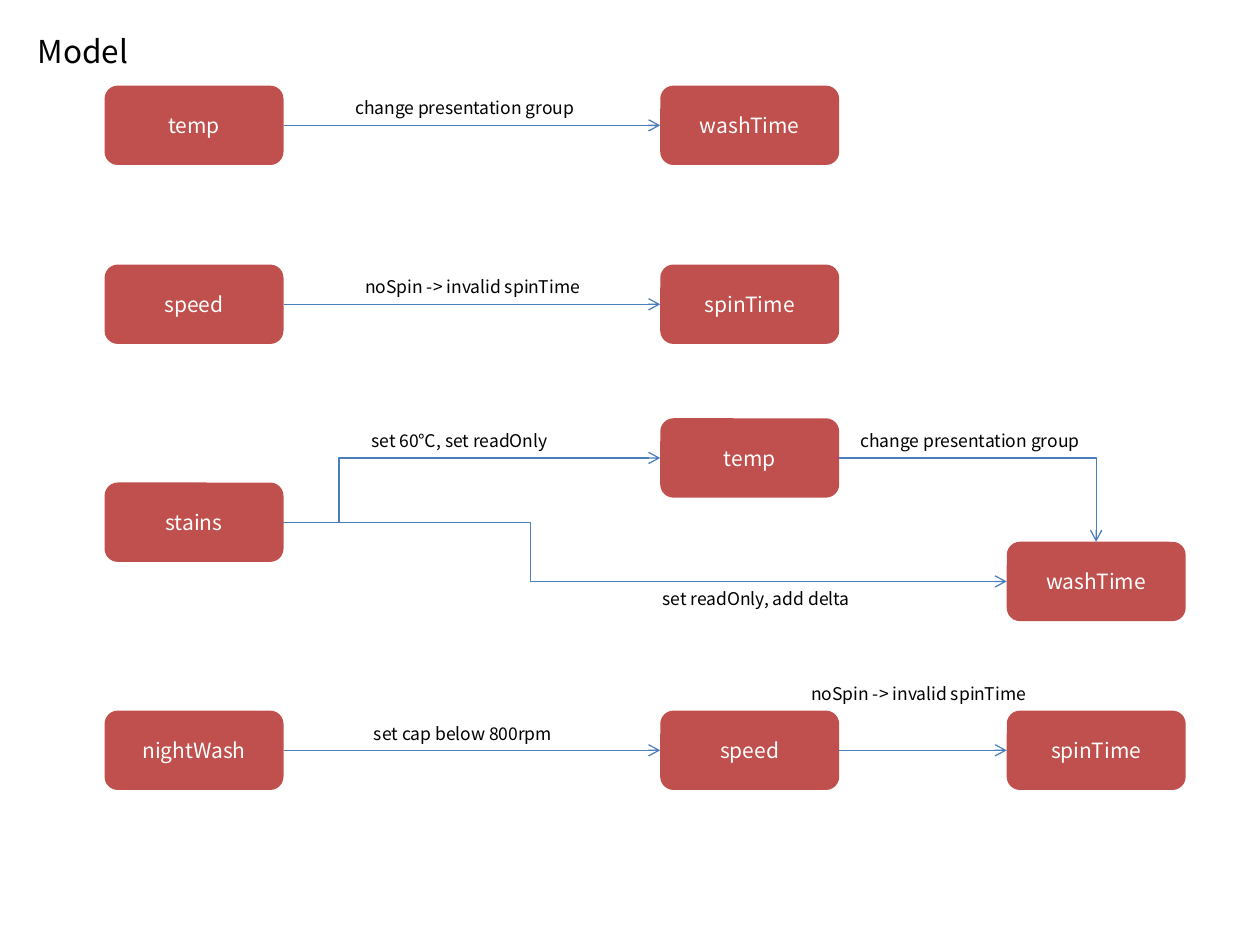
from dataclasses import dataclass
from typing import Optional

from lxml import etree
from pptx import Presentation
from pptx.dml.color import RGBColor
from pptx.enum.shapes import MSO_CONNECTOR, MSO_SHAPE
from pptx.enum.text import MSO_ANCHOR, MSO_AUTO_SIZE, PP_ALIGN
from pptx.oxml.ns import qn
from pptx.util import Inches, Pt

STRAIGHT, ELBOW = MSO_CONNECTOR.STRAIGHT, MSO_CONNECTOR.ELBOW
ROUNDED = MSO_SHAPE.ROUNDED_RECTANGLE
TOP, MIDDLE = MSO_ANCHOR.TOP, MSO_ANCHOR.MIDDLE
LEFT, CENTER = PP_ALIGN.LEFT, PP_ALIGN.CENTER
FIT_SHAPE = MSO_AUTO_SIZE.SHAPE_TO_FIT_TEXT

RED = RGBColor(0xC0, 0x50, 0x4D)
BLUE = RGBColor(0x4B, 0x7E, 0xBC)
WHITE = RGBColor(0xFF, 0xFF, 0xFF)
BLACK = RGBColor(0, 0, 0)
FONT = "Noto Sans CJK JP"

SOURCE_X, TARGET_X, RESULT_X = 0.83, 5.24, 7.99
NODE_WIDTH, NODE_HEIGHT = 1.42, 0.63
LABEL_HEIGHT = 0.27
TOP_SITE, LEFT_SITE, RIGHT_SITE = 0, 1, 3


@dataclass(frozen=True)
class Node:
    name: str
    left: float
    top: float


@dataclass(frozen=True)
class Effect:
    source: Node
    target: Node
    text: str
    text_left: float
    text_top: float
    text_width: float
    bend: Optional[float] = None
    from_above: bool = False


temp = Node("temp", SOURCE_X, 0.68)
wash_time = Node("washTime", TARGET_X, 0.68)
speed = Node("speed", SOURCE_X, 2.1)
spin_time = Node("spinTime", TARGET_X, 2.1)
stains = Node("stains", SOURCE_X, 3.83)
stains_temp = Node("temp", TARGET_X, 3.32)
stains_wash_time = Node("washTime", RESULT_X, 4.3)
night_wash = Node("nightWash", SOURCE_X, 5.64)
night_speed = Node("speed", TARGET_X, 5.64)
night_spin_time = Node("spinTime", RESULT_X, 5.64)

NODES = [temp, wash_time, speed, spin_time, stains, stains_temp,
         stains_wash_time, night_wash, night_speed, night_spin_time]

REGROUP = "change presentation group"
NO_SPIN = "noSpin -> invalid spinTime"
EFFECTS = [
    Effect(temp, wash_time, REGROUP, 2.72, 0.72, 2.05),
    Effect(speed, spin_time, NO_SPIN, 2.8, 2.14, 2.05),
    Effect(stains, stains_temp, "set 60℃, set readOnly", 2.85, 3.36, 1.75, bend=0.147),
    Effect(stains, stains_wash_time, "set readOnly, add delta", 5.16, 4.62, 1.81, bend=0.342),
    Effect(stains_temp, stains_wash_time, REGROUP, 6.73, 3.36, 2.23, from_above=True),
    Effect(night_wash, night_speed, "set cap below 800rpm", 2.87, 5.69, 1.73),
    Effect(night_speed, night_spin_time, NO_SPIN, 6.34, 5.37, 2.6),
]


def write(shape, text: str, size: float, color: RGBColor, align=LEFT, anchor=TOP) -> None:
    frame = shape.text_frame
    frame.text = text
    frame.word_wrap = True
    frame.vertical_anchor = anchor
    paragraph = frame.paragraphs[0]
    paragraph.alignment = align
    paragraph.font.name = FONT
    paragraph.font.size = Pt(size)
    paragraph.font.color.rgb = color


def add_node(slide, node: Node):
    box = slide.shapes.add_shape(ROUNDED, Inches(node.left), Inches(node.top),
                                 Inches(NODE_WIDTH), Inches(NODE_HEIGHT))
    box.shadow.inherit = False
    box.fill.solid()
    box.fill.fore_color.rgb = RED
    box.line.fill.background()
    write(box, node.name, 12, WHITE, CENTER, MIDDLE)
    return box


def add_arrow(slide, effect: Effect, boxes: dict) -> None:
    bent = effect.from_above or effect.bend is not None
    arrow = slide.shapes.add_connector(ELBOW if bent else STRAIGHT, 0, 0, 0, 0)
    arrow.begin_connect(boxes[effect.source], RIGHT_SITE)
    arrow.end_connect(boxes[effect.target], TOP_SITE if effect.from_above else LEFT_SITE)
    arrow.line.color.rgb = BLUE
    arrow.line.width = Pt(0.75)
    properties = arrow._element.spPr
    etree.SubElement(properties.find(qn("a:ln")), qn("a:tailEnd"), type="arrow")
    etree.SubElement(properties, qn("a:effectLst"))
    geometry = properties.find(qn("a:prstGeom"))
    if effect.from_above:
        geometry.set("prst", "bentConnector2")
    elif effect.bend is not None:
        etree.SubElement(geometry.find(qn("a:avLst")), qn("a:gd"),
                         name="adj1", fmla=f"val {round(effect.bend * 100000)}")


def add_label(slide, effect: Effect) -> None:
    label = slide.shapes.add_textbox(Inches(effect.text_left), Inches(effect.text_top),
                                     Inches(effect.text_width), Inches(LABEL_HEIGHT))
    write(label, effect.text, 10, BLACK)
    label.text_frame.auto_size = FIT_SHAPE


def main() -> None:
    deck = Presentation()
    deck.slide_width, deck.slide_height = Inches(10), Inches(7.5)
    slide = deck.slides.add_slide(deck.slide_layouts[5])

    title = slide.shapes.title
    title.left, title.top = Inches(0.2), Inches(0.2)
    title.width, title.height = Inches(1.1), Inches(0.4)
    write(title, "Model", 18, BLACK)
    title.text_frame.auto_size = FIT_SHAPE

    boxes = {node: add_node(slide, node) for node in NODES}
    for effect in EFFECTS:
        add_arrow(slide, effect, boxes)
        add_label(slide, effect)
    deck.save("out.pptx")


main()
